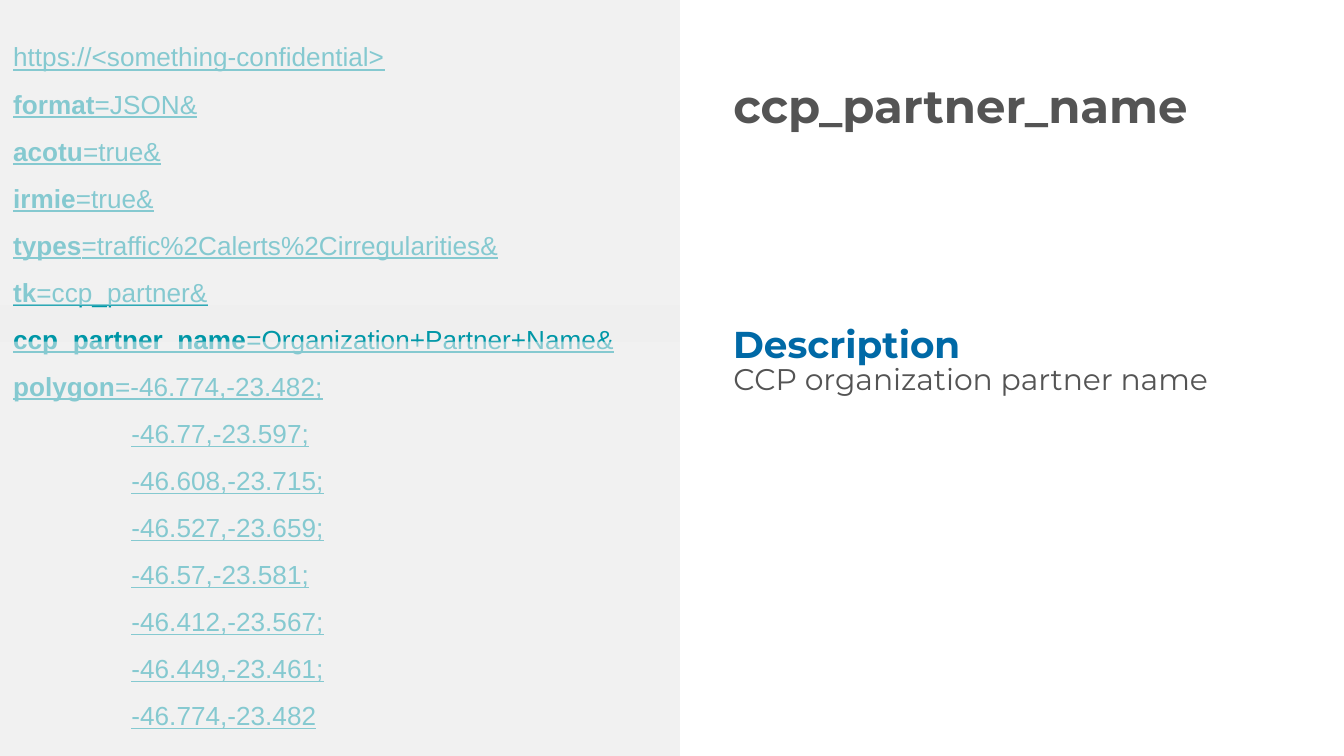
from lxml.etree import SubElement
from pptx import Presentation
from pptx.dml.color import RGBColor
from pptx.enum.shapes import MSO_SHAPE
from pptx.enum.text import MSO_ANCHOR, MSO_AUTO_SIZE, PP_ALIGN
from pptx.oxml.ns import qn
from pptx.util import Inches, Pt

# Widescreen page, 16:9
WIDTH = Inches(10)
HEIGHT = WIDTH * 9 // 16
PANEL_SHARE = 0.506
INSET = Inches(0.1)
COORDINATE_INDENT = Inches(0.88)

COLORS = {
    "panel": "EFEFEF",
    "veil": "F3F3F3",
    "link": "0097A7",
    "text": "545454",
    "heading": "0069A6",
}

ADDRESS = "https://<something-confidential>"
PARAMETERS = [
    ("format", "=JSON&"),
    ("acotu", "=true&"),
    ("irmie", "=true&"),
    ("types", "=traffic%2Calerts%2Cirregularities&"),
    ("tk", "=ccp_partner&"),
    ("ccp_partner_name", "=Organization+Partner+Name&"),
    ("polygon", "=-46.774,-23.482;"),
]
COORDINATES = [
    "-46.77,-23.597;", "-46.608,-23.715;", "-46.527,-23.659;",
    "-46.57,-23.581;", "-46.412,-23.567;", "-46.449,-23.461;",
    "-46.774,-23.482",
]


def share(box, left, top, width, height):
    """Return the part of a box given as shares of its size."""
    x, y, w, h = box
    return (int(x + left * w), int(y + top * h), int(width * w), int(height * h))


def style_font(font, name, size, color, bold=False):
    font.name, font.size, font.bold = name, Pt(size), bold
    font.color.rgb = RGBColor.from_string(COLORS[color])


def set_frame(frame, anchor):
    frame.word_wrap = True
    frame.auto_size = MSO_AUTO_SIZE.NONE
    frame.vertical_anchor = anchor
    frame.margin_left = frame.margin_right = INSET
    frame.margin_top = frame.margin_bottom = INSET


def add_block(slide, box, color, opacity=None):
    block = slide.shapes.add_shape(MSO_SHAPE.RECTANGLE, *box)
    block.shadow.inherit = False
    block.line.fill.background()
    block.fill.solid()
    block.fill.fore_color.rgb = RGBColor.from_string(COLORS[color])
    if opacity is not None:
        tint = block.fill._xPr.find(qn("a:solidFill"))[0]
        SubElement(tint, qn("a:alpha"), val=str(opacity * 1000))
    return block


def request_panel(slide, box):
    """Request address, one parameter a line, faded around the current one."""
    frame = add_block(slide, box, "panel").text_frame
    set_frame(frame, MSO_ANCHOR.MIDDLE)
    lines = [("", ADDRESS)] + PARAMETERS + [("", pair) for pair in COORDINATES]
    first_coordinate = len(lines) - len(COORDINATES)
    for number, (key, value) in enumerate(lines):
        line = frame.paragraphs[0] if number == 0 else frame.add_paragraph()
        line.alignment = PP_ALIGN.JUSTIFY
        line.line_spacing = 1.5
        if number >= first_coordinate:
            line._p.get_or_add_pPr().set("marL", str(COORDINATE_INDENT))
        for words, bold in ((key, True), (value, False)):
            if words:
                run = line.add_run()
                run.text = words
                style_font(run.font, "Arial", 14, "link", bold)
                run.font.underline = True

    # Veils above and below the highlighted parameter
    for top, bottom in ((0.452, 1), (0, 0.404)):
        add_block(slide, share(box, 0, top, 1, bottom - top), "veil", 55)


def write_text(shape, box, words, size, color, bold=False, anchor=MSO_ANCHOR.TOP):
    shape.left, shape.top, shape.width, shape.height = box
    frame = shape.text_frame
    frame.text = words
    set_frame(frame, anchor)
    paragraph = frame.paragraphs[0]
    paragraph.alignment = PP_ALIGN.LEFT
    paragraph.space_before = Pt(0)
    properties = paragraph._p.get_or_add_pPr()
    properties.set("marL", "0")
    properties.set("indent", "0")
    SubElement(properties, qn("a:buNone"))
    style_font(paragraph.runs[0].font, "Montserrat", size, color, bold)


def explanation(slide, box):
    """Parameter name with its description."""
    write_text(slide.shapes.title, share(box, 0.06, 0.057, 0.94, 0.164),
               "ccp_partner_name", 25, "text", True, MSO_ANCHOR.MIDDLE)
    write_text(slide.placeholders[1], share(box, 0.06, 0.459, 0.895, 0.466),
               "CCP organization partner name", 16, "text")
    heading_box = share(box, 0.06, 0.407, 0.46, 0.089)
    write_text(slide.shapes.add_textbox(*heading_box), heading_box,
               "Description", 20, "heading", True)


def main():
    presentation = Presentation()
    presentation.slide_width, presentation.slide_height = WIDTH, HEIGHT
    slide = presentation.slides.add_slide(presentation.slide_layouts[1])
    page = (0, 0, WIDTH, HEIGHT)
    request_panel(slide, share(page, 0, 0, PANEL_SHARE, 1))
    explanation(slide, share(page, PANEL_SHARE, 0, 1 - PANEL_SHARE, 1))
    presentation.save("out.pptx")


if __name__ == "__main__":
    main()
